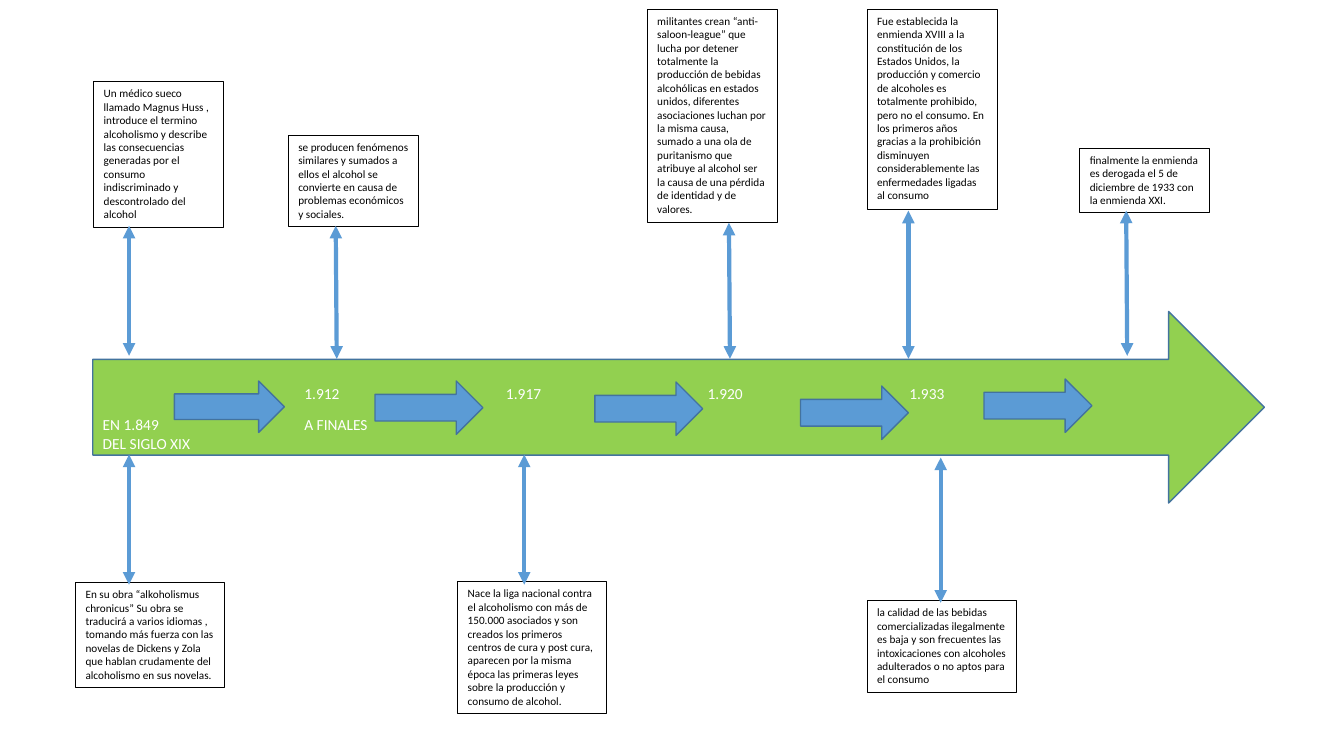
from pptx import Presentation
from pptx.dml.color import RGBColor
from pptx.enum.shapes import MSO_CONNECTOR, MSO_SHAPE
from pptx.enum.text import MSO_ANCHOR, PP_ALIGN
from pptx.oxml.ns import qn
from pptx.util import Inches, Pt
from lxml.etree import SubElement

GREEN = RGBColor(0x92, 0xD0, 0x50)
BLUE = RGBColor(0x5B, 0x9B, 0xD5)
DARK_BLUE = RGBColor(0x43, 0x73, 0x9E)
BLACK = RGBColor(0, 0, 0)
WHITE = RGBColor(0xFF, 0xFF, 0xFF)
FONT = "Calibri"

# Content: dates on the timeline, in tabbed columns
DATE_ROWS = ["\t1.912\t1.917\t1.920\t1.933",
             "EN 1.849\tA FINALES\vDEL SIGLO XIX"]
COLUMN_STEP = 2
TIMELINE = (0.92, 3.09, 11.62, 1.9)

# Small arrows between dates: left, top, width, height
STEP_ARROWS = [(1.73, 3.78, 1.09, 0.51), (3.72, 3.78, 1.07, 0.53),
               (5.9, 3.79, 1.07, 0.53), (7.94, 3.83, 1.07, 0.53),
               (9.76, 3.76, 1.07, 0.53)]

# Events: left, top, height, text
WIDTH_ABOVE, WIDTH_BELOW = 1.29, 1.48
EVENTS_ABOVE = [
    (0.93, 0.81, 1.45, "Un médico sueco llamado Magnus Huss , introduce el termino "
     "alcoholismo y describe las consecuencias generadas por el consumo "
     "indiscriminado y descontrolado del alcohol"),
    (2.86, 1.34, 0.91, "se producen fenómenos similares y sumados a ellos el alcohol "
     "se convierte en causa de problemas económicos y sociales."),
    (6.42, 0.09, 2.12, "militantes crean “anti-saloon-league” que lucha por detener "
     "totalmente la producción de bebidas alcohólicas en estados unidos, diferentes "
     "asociaciones luchan por la misma causa, sumado a una ola de puritanismo que "
     "atribuye al alcohol ser la causa de una pérdida de identidad y de valores."),
    (8.6, 0.09, 1.99, "Fue establecida la enmienda XVIII a la constitución de los "
     "Estados Unidos, la producción y comercio de alcoholes es totalmente prohibido, "
     "pero no el consumo. En los primeros años gracias a la prohibición disminuyen "
     "considerablemente las enfermedades ligadas al consumo"),
    (10.71, 1.47, 0.64, "finalmente la enmienda es derogada el 5 de diciembre de 1933 "
     "con la enmienda XXI."),
]
EVENTS_BELOW = [
    (0.75, 5.78, 1.04, "En su obra “alkoholismus chronicus” Su obra se traducirá a "
     "varios idiomas , tomando más fuerza con las novelas de Dickens y Zola que "
     "hablan crudamente del alcoholismo en sus novelas."),
    (4.54, 5.77, 1.31, "Nace la liga nacional contra el alcoholismo con más de 150.000 "
     "asociados y son creados los primeros centros de cura y post cura, aparecen por "
     "la misma época las primeras leyes sobre la producción y consumo de alcohol."),
    (8.6, 5.96, 0.91, "la calidad de las bebidas comercializadas ilegalmente es baja y "
     "son frecuentes las intoxicaciones con alcoholes adulterados o no aptos para el "
     "consumo"),
]

# Links between events and timeline: x1, y1, x2, y2
LINKS = [(1.28, 2.24, 1.28, 3.53), (3.33, 2.24, 3.34, 3.56),
         (7.23, 2.21, 7.24, 3.56), (9.01, 2.09, 9.01, 3.56),
         (11.17, 2.09, 11.18, 3.53), (1.28, 4.51, 1.28, 5.8),
         (5.2, 4.51, 5.2, 5.8), (9.33, 4.54, 9.33, 5.98)]


def add_block(page, preset, place, fill, line, weight):
    block = page.shapes.add_shape(preset, *map(Inches, place))
    block.shadow.inherit = False
    if fill is None:
        block.fill.background()
    else:
        block.fill.solid()
        block.fill.fore_color.rgb = fill
    block.line.color.rgb = line
    block.line.width = Pt(weight)
    return block


def style_text(para, size, color):
    para.alignment = PP_ALIGN.LEFT
    para.font.name = FONT
    para.font.size = Pt(size)
    para.font.color.rgb = color


def add_timeline(page):
    arrow = add_block(page, MSO_SHAPE.RIGHT_ARROW, TIMELINE, GREEN, DARK_BLUE, 1)
    frame = arrow.text_frame
    frame.word_wrap = True
    frame.vertical_anchor = MSO_ANCHOR.TOP
    frame.margin_top, frame.margin_bottom = Inches(0.23), 0
    frame.text = "\n".join(DATE_ROWS)
    for para in frame.paragraphs:
        para.line_spacing = 1.07
        para.space_after = Pt(8)
        stops = SubElement(para._p.get_or_add_pPr(), qn("a:tabLst"))
        for column in range(1, 5):
            SubElement(stops, qn("a:tab"), pos=str(Inches(column * COLUMN_STEP)), algn="l")
        style_text(para, 11, WHITE)


def add_event(page, left, top, width, height, text):
    box = add_block(page, MSO_SHAPE.RECTANGLE, (left, top, width, height),
                    None, BLACK, 0.75)
    frame = box.text_frame
    frame.word_wrap = True
    frame.vertical_anchor = MSO_ANCHOR.TOP
    frame.text = text
    style_text(frame.paragraphs[0], 8, BLACK)


def add_link(page, ends):
    link = page.shapes.add_connector(MSO_CONNECTOR.STRAIGHT, *map(Inches, ends))
    link.line.color.rgb = BLUE
    link.line.width = Pt(3)
    outline = link.line._get_or_add_ln()
    for end in ("a:headEnd", "a:tailEnd"):
        SubElement(outline, qn(end), type="triangle")
    SubElement(link._element.spPr, qn("a:effectLst"))


def main():
    deck = Presentation()
    deck.slide_width, deck.slide_height = Inches(13.33), Inches(7.5)
    page = deck.slides.add_slide(deck.slide_layouts[6])

    # Timeline and its step arrows
    add_timeline(page)
    for place in STEP_ARROWS:
        add_block(page, MSO_SHAPE.RIGHT_ARROW, place, BLUE, DARK_BLUE, 1)

    # Event boxes and links
    for width, events in ((WIDTH_ABOVE, EVENTS_ABOVE), (WIDTH_BELOW, EVENTS_BELOW)):
        for left, top, height, text in events:
            add_event(page, left, top, width, height, text)
    for ends in LINKS:
        add_link(page, ends)

    deck.save("out.pptx")


if __name__ == "__main__":
    main()
